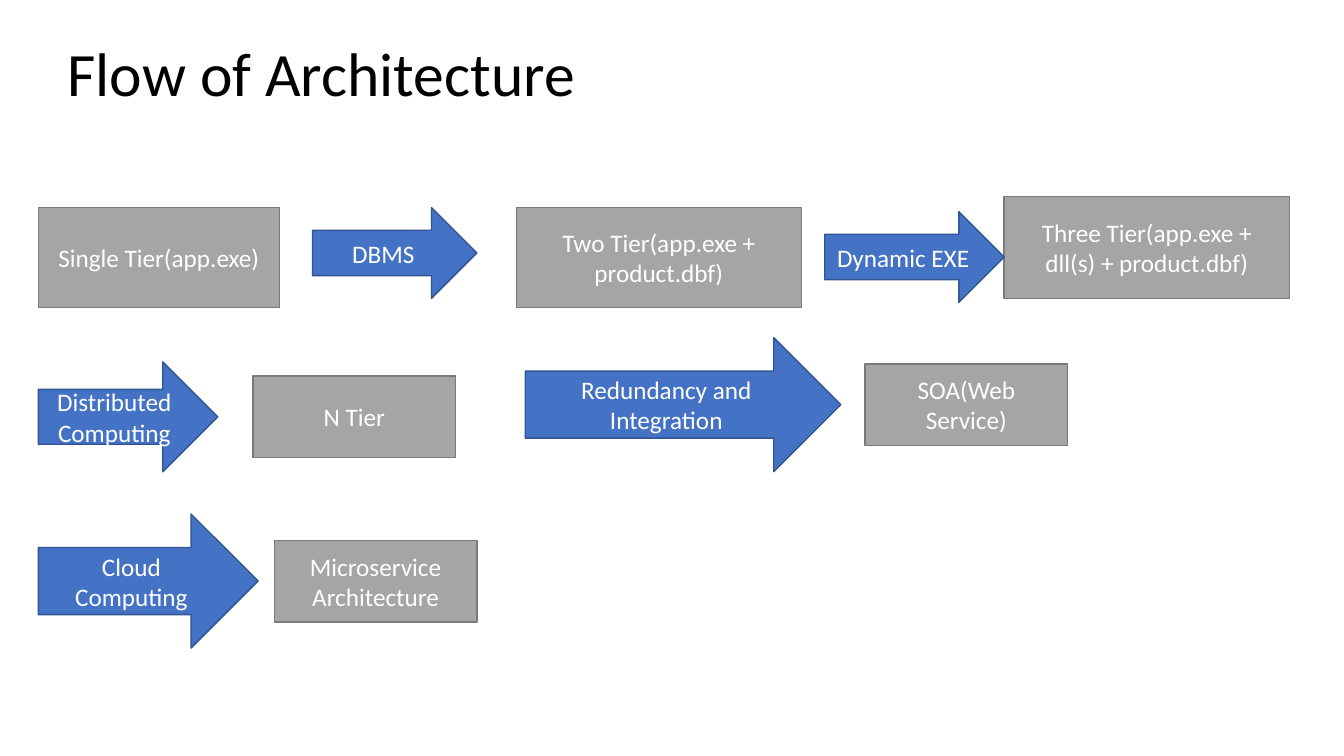
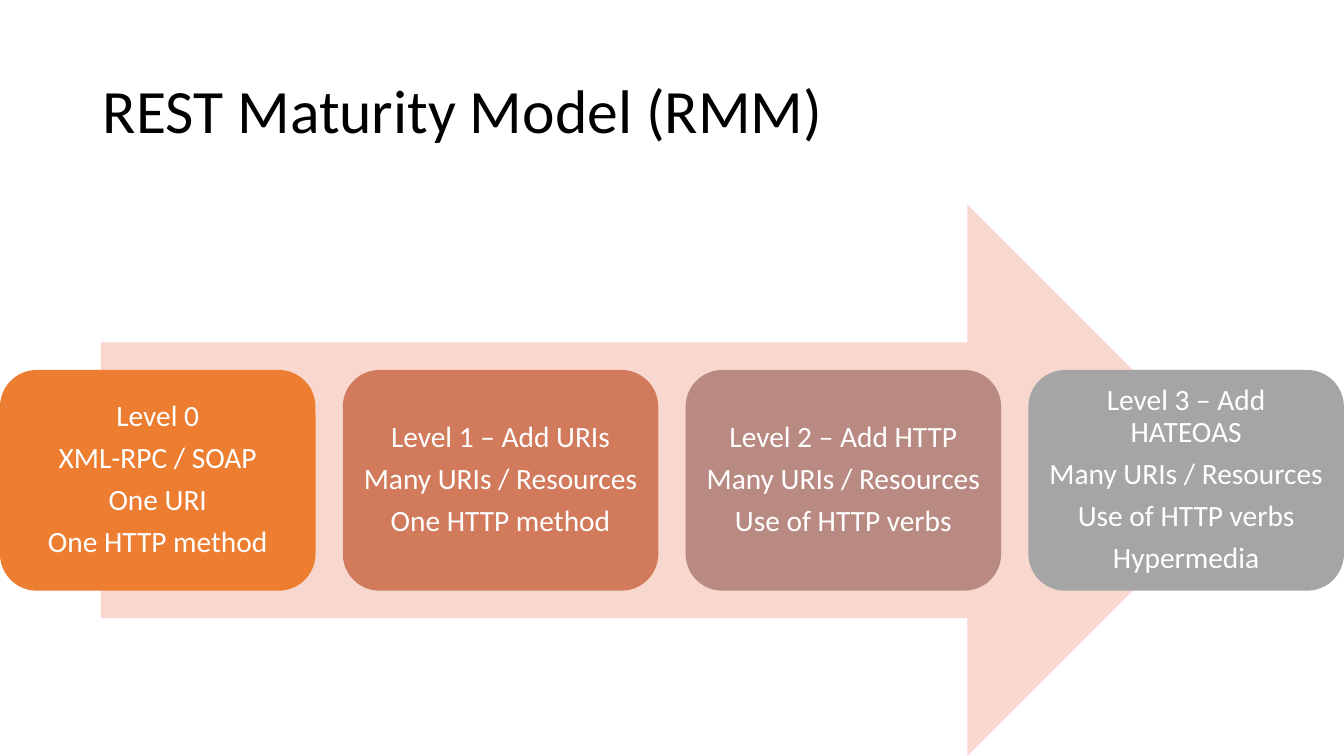
from pptx import Presentation
from pptx.dml.color import RGBColor
from pptx.enum.shapes import MSO_SHAPE
from pptx.enum.text import MSO_ANCHOR, PP_ALIGN
from pptx.util import Inches, Pt

FONT = "Calibri"
COLORS = {
    "title": "000000",
    "label": "FFFFFF",
    "stage": "A5A5A5",
    "stage_line": "7A7A7A",
    "driver": "4472C4",
    "driver_line": "325491",
    "maturity": "F8D7CE",
}
TITLE_SIZE = (11.5, 1.45)
TITLE_FORMAT = {"alignment": PP_ALIGN.LEFT, "line_spacing": 0.9}
LABEL_FORMAT = {"alignment": PP_ALIGN.CENTER}
LEVEL_FORMAT = {
    "alignment": PP_ALIGN.CENTER,
    "line_spacing": 0.9,
    "space_after": Pt(7.35),
}
LEVEL_FRAME = {
    side: Inches(0.09)
    for side in ("margin_left", "margin_top", "margin_right", "margin_bottom")
}

STAGES = [
    ("Single Tier(app.exe)", (0.38, 2.06, 2.39, 0.99)),
    ("Two Tier(app.exe + product.dbf)", (5.12, 2.06, 2.83, 0.99)),
    ("Three Tier(app.exe + dll(s) + product.dbf)", (9.96, 1.95, 2.83, 1.01)),
    ("N Tier", (2.51, 3.73, 2.01, 0.81)),
    ("SOA(Web Service)", (8.58, 3.61, 2.01, 0.81)),
    ("Microservice Architecture", (2.72, 5.36, 2.01, 0.81)),
]
DRIVERS = [
    ("DBMS", (3.1, 2.06, 1.63, 0.9)),
    ("Dynamic EXE", (8.18, 2.1, 1.78, 0.9)),
    ("Distributed Computing", (0.38, 3.59, 1.78, 1.09)),
    ("Redundancy and Integration", (5.21, 3.35, 3.13, 1.33)),
    ("Cloud Computing", (0.38, 5.1, 2.18, 1.33)),
]
LEVELS = [
    ("ED7D31", ["Level 0", "XML-RPC / SOAP", "One URI", "One HTTP method"]),
    ("D17B5C", ["Level 1 – Add URIs", "Many URIs / Resources", "One HTTP method"]),
    ("B98A82", ["Level 2 – Add HTTP", "Many URIs / Resources", "Use of HTTP verbs"]),
    ("A5A5A5", ["Level 3 – Add HATEOAS", "Many URIs / Resources",
                "Use of HTTP verbs", "Hypermedia"]),
]
LEVEL_SIZE = (3.13, 2.19)
LEVEL_TOP = 3.67
LEVEL_GAP = 0.27


def color(value):
    return RGBColor.from_string(value)


def apply_format(target, values):
    for name, value in values.items():
        setattr(target, name, value)


def write_lines(box, lines, size, text_color, para_format, frame_format=None):
    frame = box.text_frame
    frame_values = {"word_wrap": True, "vertical_anchor": MSO_ANCHOR.MIDDLE}
    apply_format(frame, frame_values | (frame_format or {}))
    for index, line in enumerate(lines):
        para = frame.add_paragraph() if index else frame.paragraphs[0]
        apply_format(para, para_format)
        span = para.add_run()
        span.text = line
        apply_format(span.font, {"name": FONT, "size": Pt(size)})
        span.font.color.rgb = color(text_color)


def add_title(page, text, left, top):
    box = page.shapes.add_textbox(*map(Inches, (left, top, *TITLE_SIZE)))
    write_lines(box, [text], 44, COLORS["title"], TITLE_FORMAT)


def add_block(page, kind, place, fill, line=None):
    block = page.shapes.add_shape(kind, *map(Inches, place))
    block.shadow.inherit = False
    block.fill.solid()
    block.fill.fore_color.rgb = color(fill)
    if line:
        block.line.color.rgb = color(line)
        block.line.width = Pt(1)
    else:
        block.line.fill.background()
    return block


def add_labelled_blocks(page, kind, role, entries):
    for label, place in entries:
        block = add_block(page, kind, place, COLORS[role], COLORS[f"{role}_line"])
        write_lines(block, [label], 18, COLORS["label"], LABEL_FORMAT)


def add_level_cards(page):
    width, height = LEVEL_SIZE
    for index, (fill, lines) in enumerate(LEVELS):
        place = (index * (width + LEVEL_GAP), LEVEL_TOP, width, height)
        card = add_block(page, MSO_SHAPE.ROUNDED_RECTANGLE, place, fill)
        write_lines(card, lines, 21, COLORS["label"], LEVEL_FORMAT, LEVEL_FRAME)


def add_page(deck):
    return deck.slides.add_slide(deck.slide_layouts[6])


def build_flow(deck):
    page = add_page(deck)
    add_title(page, "Flow of Architecture", 0.57, 0.03)
    add_labelled_blocks(page, MSO_SHAPE.RECTANGLE, "stage", STAGES)
    add_labelled_blocks(page, MSO_SHAPE.RIGHT_ARROW, "driver", DRIVERS)


def build_maturity_model(deck):
    page = add_page(deck)
    add_title(page, "REST Maturity Model (RMM)", 0.92, 0.4)
    add_block(page, MSO_SHAPE.RIGHT_ARROW, (1, 2.03, 11.33, 5.47), COLORS["maturity"])
    add_level_cards(page)


def main():
    deck = Presentation()
    apply_format(deck, {"slide_width": Inches(13.33), "slide_height": Inches(7.5)})
    build_flow(deck)
    build_maturity_model(deck)
    deck.save("out.pptx")


if __name__ == "__main__":
    main()
